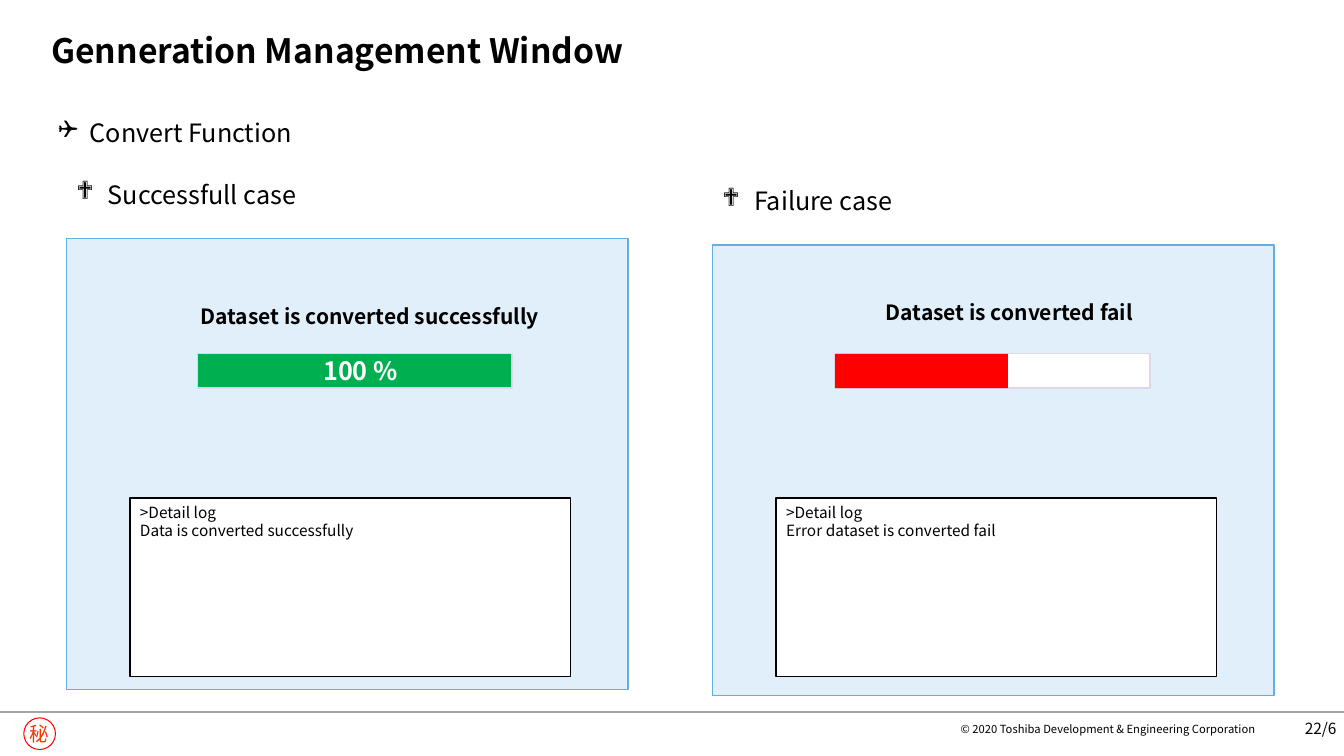
from lxml.etree import SubElement
from pptx import Presentation
from pptx.dml.color import RGBColor
from pptx.enum.shapes import MSO_CONNECTOR, MSO_SHAPE
from pptx.enum.text import MSO_ANCHOR, PP_ALIGN
from pptx.oxml.ns import qn
from pptx.util import Pt

FONT = "Noto Sans CJK JP"
COLORS = {
    "black": "000000", "soft_black": "0D0D0D", "white": "FFFFFF",
    "rule": "A6A6A6", "seal_line": "FF0000", "seal_text": "FF3300",
    "panel": "E0EFF9", "panel_line": "64AFE1", "bar_line": "E1D5EA",
    "success": "00B050", "failure": "FF0000",
}
INSETS = (7.2, 3.6, 7.2, 3.6)
BULLET_INDENT = 22.5
SLIDE_WIDTH, SLIDE_HEIGHT = 960, 540


def color(name):
    return RGBColor.from_string(COLORS[name])


def format_run(run, size, color_name, bold=False):
    run.font.name = FONT
    run.font.size = Pt(size)
    run.font.bold = bold
    run.font.color.rgb = color(color_name)
    SubElement(run.font._element, qn("a:ea"), typeface=FONT)


def fill_text(shape, lines, size, color_name="black", bold=False, insets=INSETS,
              anchor=MSO_ANCHOR.TOP, align=PP_ALIGN.LEFT, wrap=True):
    """Each line is a list of (text, color name) runs or a plain string."""
    frame = shape.text_frame
    frame.word_wrap = wrap
    frame.vertical_anchor = anchor
    frame.margin_left, frame.margin_top, frame.margin_right, frame.margin_bottom = map(Pt, insets)
    for index, line in enumerate(lines):
        paragraph = frame.paragraphs[0] if index == 0 else frame.add_paragraph()
        paragraph.alignment = align
        for text, run_color in [(line, color_name)] if isinstance(line, str) else line:
            run = paragraph.add_run()
            run.text = text
            format_run(run, size, run_color, bold)


def add_text(slide, box, lines, size, **options):
    shape = slide.shapes.add_textbox(*map(Pt, box))
    fill_text(shape, lines, size, **options)
    return shape


def add_bulleted(slide, box, text, bullet):
    shape = add_text(slide, box, [text], 18)
    properties = shape.text_frame.paragraphs[0]._p.get_or_add_pPr()
    properties.set("marL", str(Pt(BULLET_INDENT)))
    properties.set("indent", str(-Pt(BULLET_INDENT)))
    SubElement(properties, qn("a:buFont"), typeface="Wingdings")
    SubElement(properties, qn("a:buChar"), char=bullet)


def add_box(slide, box, fill=None, line=None, width=1, preset=MSO_SHAPE.RECTANGLE):
    shape = slide.shapes.add_shape(preset, *map(Pt, box))
    shape.shadow.inherit = False
    if fill:
        shape.fill.solid()
        shape.fill.fore_color.rgb = color(fill)
    else:
        shape.fill.background()
    if line:
        shape.line.color.rgb = color(line)
        shape.line.width = Pt(width)
    else:
        shape.line.fill.background()
    return shape


def add_header(slide, left, top, width, height):
    title = add_text(slide, (left, top, width, height), ["Genneration Management Window"], 24,
                     bold=True, insets=(36.7, 8.6, 33.8, 8.6), anchor=MSO_ANCHOR.BOTTOM)
    title.text_frame.paragraphs[0].line_spacing = 0.9
    add_bulleted(slide, (left + 34.5, top + 79.9, 278, 29), "Convert Function", "❑")


def add_case(slide, left, top, width, height, heading, message, message_at, bar_left,
             progress, progress_color, progress_label, log):
    add_box(slide, (left, top, width, height), "panel", "panel_line")
    add_bulleted(slide, (left, top - 46.4, 265, 29), heading, "❖")
    add_text(slide, (left + message_at[0], top + message_at[1], 336, 25), [message], 15, bold=True)

    # Progress bar
    bar_top, bar_width, bar_height = 252.7, 224.6, 24.5
    complete = progress == 1
    bar = add_box(slide, (left + bar_left, bar_top, bar_width, bar_height),
                  progress_color if complete else "white", "bar_line")
    if not complete:
        add_box(slide, (left + bar_left - 0.5, bar_top, bar_width * progress, bar_height),
                progress_color)
    if progress_label:
        fill_text(bar, [progress_label], 18, color_name="white", bold=True,
                  insets=(15.3, 3.6, 7.2, 3.6), anchor=MSO_ANCHOR.MIDDLE, align=PP_ALIGN.CENTER)

    # Log window
    log_box = add_box(slide, (left + 45.4, 355.7, 314.6, 127.4), "white", "black")
    fill_text(log_box, log, 11)


def add_footer(slide, left, top, width):
    rule = slide.shapes.add_connector(MSO_CONNECTOR.STRAIGHT, Pt(left), Pt(top),
                                      Pt(left + width), Pt(top))
    rule.line.color.rgb = color("rule")
    rule.line.width = Pt(1.5)
    SubElement(rule._element.spPr, qn("a:effectLst"))

    seal = add_box(slide, (left + 17, top + 4.5, 22.6, 22.6), line="seal_line", width=0.75,
                   preset=MSO_SHAPE.OVAL)
    flat = {"insets": (0, 0, 0, 0), "anchor": MSO_ANCHOR.MIDDLE}
    fill_text(seal, ["秘"], 14, color_name="seal_text", align=PP_ALIGN.CENTER, wrap=False, **flat)
    add_text(slide, (left + 670.3, top + 8, 226.8, 9.4),
             ["© 2020 Toshiba Development & Engineering Corporation"], 8,
             align=PP_ALIGN.RIGHT, wrap=False, **flat)
    add_text(slide, (left + 903.6, top - 2.2, 51.1, 28.8), ["22/6"], 11,
             align=PP_ALIGN.RIGHT, **flat)


def main():
    presentation = Presentation()
    presentation.slide_width = Pt(SLIDE_WIDTH)
    presentation.slide_height = Pt(SLIDE_HEIGHT)
    slide = presentation.slides.add_slide(presentation.slide_layouts[6])

    add_footer(slide, 0, 508.3, SLIDE_WIDTH)
    add_header(slide, 0, 0, 900.7, 59)
    add_case(slide, 47.5, 170.6, 401, 321.8, "Successfull case",
             "Dataset is converted successfully", (88.6, 42.5), 93.6,
             1, "success", "100 %", [">Detail log", "Data is converted successfully"])
    add_case(slide, 509, 175, 401, 321.8, "Failure case",
             "Dataset is converted fail", (116.6, 35.2), 87.9,
             0.55, "failure", None,
             [">Detail log", [("Error ", "soft_black"), ("dataset is converted fail", "black")]])
    presentation.save("out.pptx")


if __name__ == "__main__":
    main()
